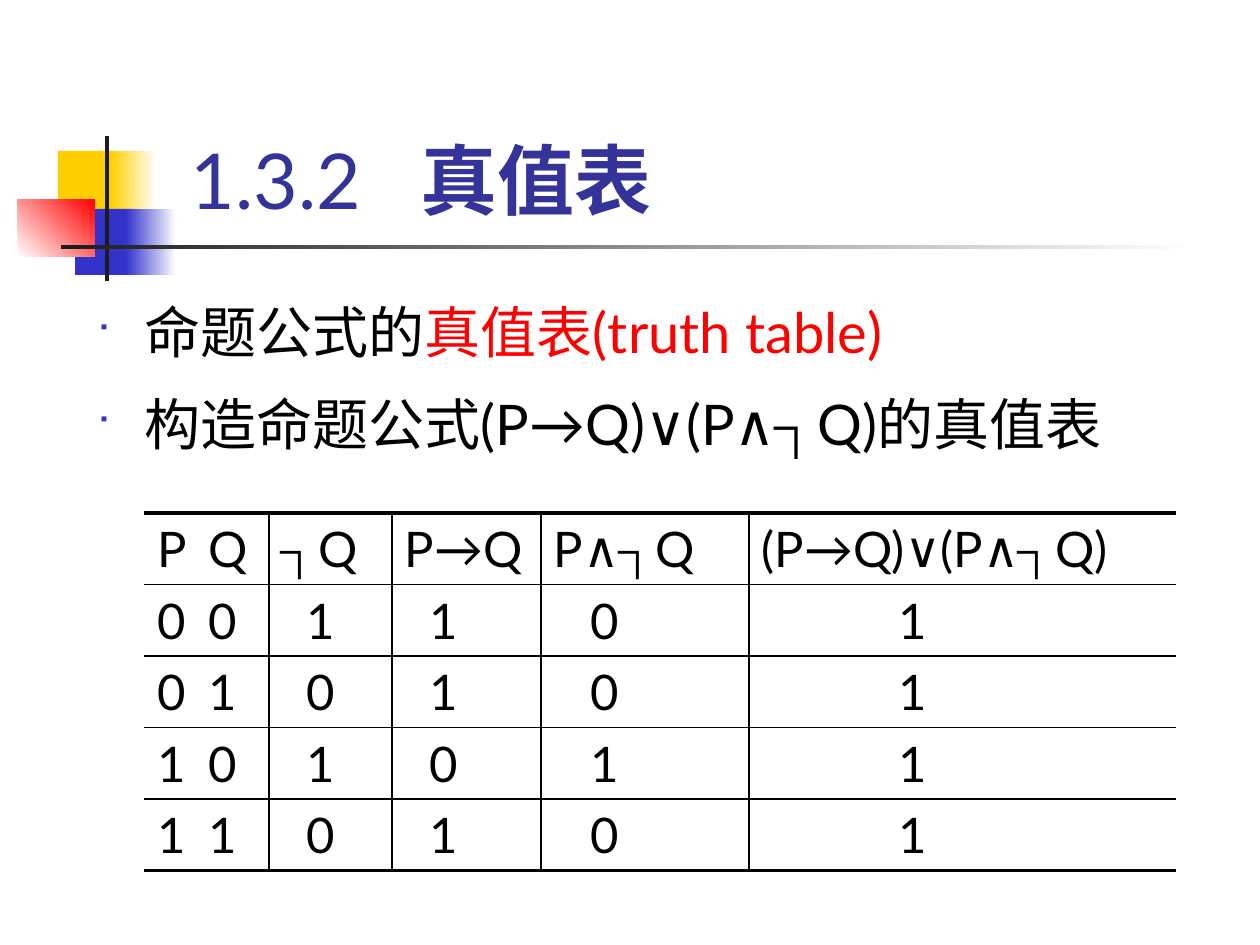
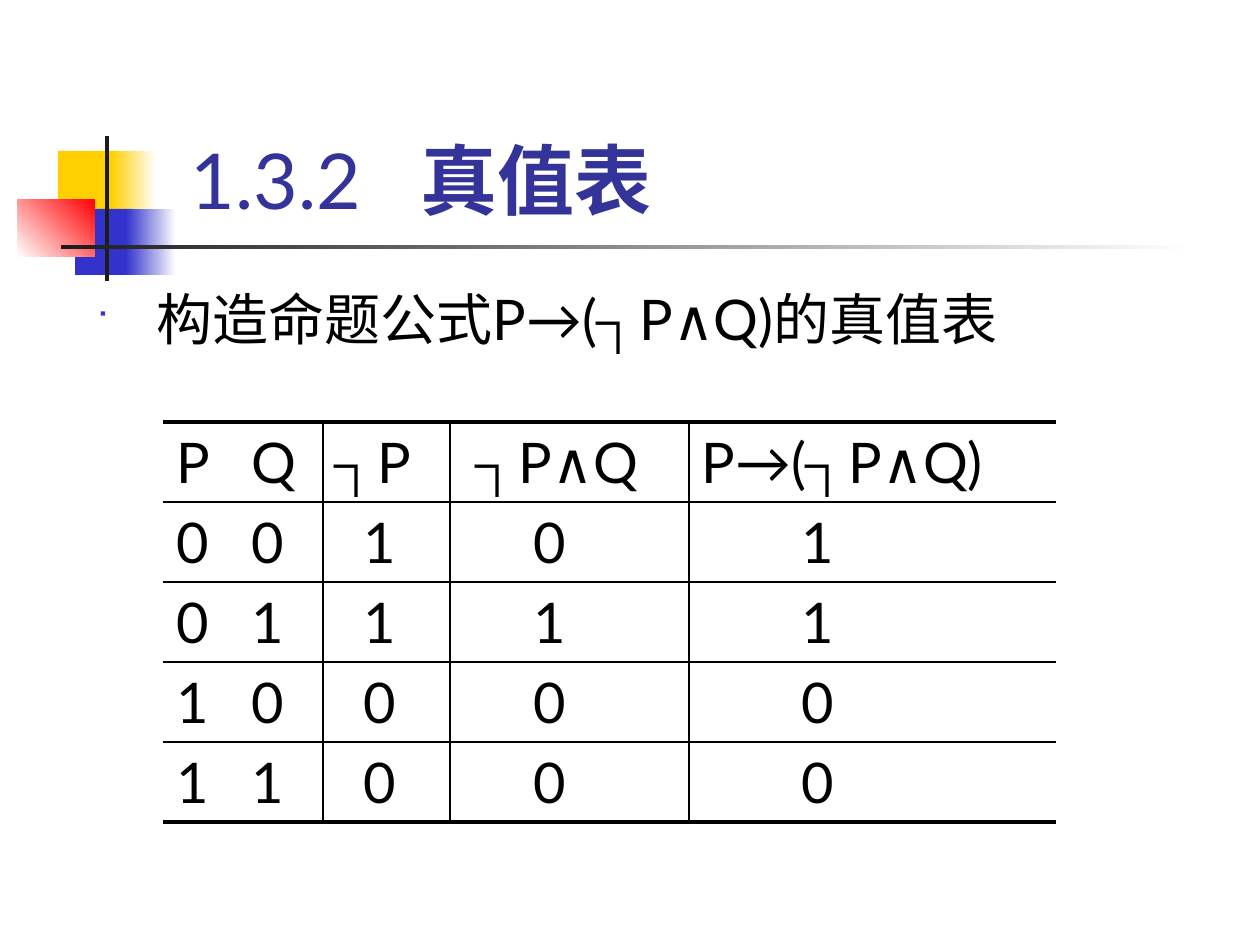
from pptx import Presentation
from pptx.dml.color import RGBColor
from pptx.enum.shapes import MSO_SHAPE
from pptx.enum.text import MSO_ANCHOR
from pptx.oxml.ns import qn
from pptx.util import Emu, Pt
from lxml.etree import SubElement

FONT = "Lato"
BLACK = RGBColor(0x00, 0x00, 0x00)
WHITE = RGBColor(0xFF, 0xFF, 0xFF)
RED = RGBColor(0xFF, 0x00, 0x00)
YELLOW = RGBColor(0xFF, 0xCF, 0x01)
BLUE = RGBColor(0x33, 0x33, 0xCC)
CHARCOAL = RGBColor(0x1C, 0x1C, 0x1C)
TITLE_BLUE = RGBColor(0x33, 0x33, 0x99)

THIN, THICK = 1, 2.25
CELL_MARGIN = 13
TITLE_BOX = (159, 29, 1073, 202)
EMBLEM_BOX = (18, 136, 1176, 145)
EMBLEM_PARTS = [
    ((40, 15, 60, 66), YELLOW, None, 0),
    ((93, 15, 45, 66), YELLOW, WHITE, 0),
    ((57, 73, 58, 66), BLUE, None, 0),
    ((108, 73, 50, 66), BLUE, WHITE, 0),
    ((0, 63, 77, 58), WHITE, RED, 45),
    ((87, 0, 4, 145), CHARCOAL, None, 0),
    ((43, 109, 1133, 4), CHARCOAL, WHITE, 0),
]


def px(length):
    """Turn a length in px into EMU."""
    return Emu(round(length * 914400 / 126))


def style_font(paragraph, size, color=None):
    """Give a paragraph its shared font."""
    paragraph.font.name = FONT
    paragraph.font.size = Pt(size)
    if color is not None:
        paragraph.font.color.rgb = color


def add_tab(paragraph, position):
    """Add one left tab stop to a paragraph."""
    tabs = SubElement(paragraph._p.get_or_add_pPr(), qn("a:tabLst"))
    SubElement(tabs, qn("a:tab"), pos=str(px(position)), algn="l")


def add_bullet(paragraph, hanging, percent):
    """Give a paragraph a blue square bullet and a hanging indent."""
    properties = paragraph._p.get_or_add_pPr()
    properties.set("marL", str(px(hanging)))
    properties.set("indent", str(-px(hanging)))
    color = SubElement(properties, qn("a:buClr"))
    SubElement(color, qn("a:srgbClr"), val=str(BLUE))
    SubElement(properties, qn("a:buSzPct"), val=str(percent * 1000))
    SubElement(properties, qn("a:buFont"), typeface="Wingdings")
    SubElement(properties, qn("a:buChar"), char="■")


def add_emblem(slide, box):
    """Draw the coloured squares and the crossing rules."""
    for (left, top, width, height), start, end, angle in EMBLEM_PARTS:
        shape = slide.shapes.add_shape(
            MSO_SHAPE.RECTANGLE, px(box[0] + left), px(box[1] + top), px(width), px(height))
        shape.shadow.inherit = False
        shape.line.fill.background()
        if end is None:
            shape.fill.solid()
            shape.fill.fore_color.rgb = start
            continue
        shape.fill.gradient()
        shape.fill.gradient_angle = angle
        for stop, color, position in zip(shape.fill.gradient_stops, (start, end), (0, 1)):
            stop.color.rgb = color
            stop.position = position


def add_text_frame(slide, box):
    """Add a wrapping text box and return its frame."""
    frame = slide.shapes.add_textbox(*map(px, box)).text_frame
    frame.word_wrap = True
    return frame


def add_title(slide, box):
    """Write the section number and the bold section name."""
    frame = add_text_frame(slide, box)
    frame.margin_left = px(32)
    frame.vertical_anchor = MSO_ANCHOR.BOTTOM
    paragraph = frame.paragraphs[0]
    add_tab(paragraph, 230)
    style_font(paragraph, 44, TITLE_BLUE)
    paragraph.add_run().text = "1.3.2\t"
    name = paragraph.add_run()
    name.text = "真值表"
    name.font.bold = True


def add_bullets(slide, box, items, hanging, percent, line_spacing):
    """Write bulleted lines, each a list of coloured runs."""
    frame = add_text_frame(slide, box)
    for index, runs in enumerate(items):
        paragraph = frame.add_paragraph() if index else frame.paragraphs[0]
        add_bullet(paragraph, hanging, percent)
        paragraph.line_spacing = line_spacing
        paragraph.space_before = Pt(6.4 if index else 0)
        style_font(paragraph, 32)
        for text, color in runs:
            run = paragraph.add_run()
            run.text = text
            run.font.color.rgb = color


def set_borders(cell, widths):
    """Set the left, right, top and bottom borders; zero means none."""
    properties = cell._tc.get_or_add_tcPr()
    for side, width in zip("LRTB", widths):
        line = SubElement(properties, qn(f"a:ln{side}"), w=str(Pt(width)))
        if width:
            fill = SubElement(line, qn("a:solidFill"))
            SubElement(fill, qn("a:srgbClr"), val=str(BLACK))
        else:
            SubElement(line, qn("a:noFill"))


def add_truth_table(slide, box, columns, rows, indents, header_indents, tab, size):
    """Add a truth table with heavy top and bottom rules and open sides."""
    table = slide.shapes.add_table(len(rows), len(columns), *map(px, box)).table
    table.first_row = table.horz_banding = False
    for column, width in zip(table.columns, columns):
        column.width = px(width)
    last_row, last_column = len(rows) - 1, len(columns) - 1
    for r, texts in enumerate(rows):
        for c, text in enumerate(texts):
            cell = table.cell(r, c)
            set_borders(cell, (THIN if c else 0, THIN if c < last_column else 0,
                               THIN if r else THICK, THIN if r < last_row else THICK))
            cell.fill.background()
            cell.margin_left = px(CELL_MARGIN + (indents if r else header_indents)[c])
            paragraph = cell.text_frame.paragraphs[0]
            if c == 0:
                add_tab(paragraph, tab)
            style_font(paragraph, size, BLACK)
            paragraph.add_run().text = text


def add_base_slide(presentation):
    """Add a slide with the shared emblem and title."""
    slide = presentation.slides.add_slide(presentation.slide_layouts[6])
    add_emblem(slide, EMBLEM_BOX)
    add_title(slide, TITLE_BOX)
    return slide


def build_disjunction_slide(presentation):
    """Build the slide that defines truth tables and tabulates a disjunction."""
    slide = add_base_slide(presentation)
    add_bullets(slide, (84, 278, 1176, 641), [
        [("命题公式的", BLACK), ("真值表(truth table)", RED)],
        [("构造命题公式(P→Q)∨(P∧┐Q)的真值表", BLACK)],
    ], hanging=48, percent=60, line_spacing=1.2)
    rows = [
        ("P\tQ", "┐Q", "P→Q", "P∧┐Q", "(P→Q)∨(P∧┐Q)"),
        ("0\t0", "1", "1", "0", "1"),
        ("0\t1", "0", "1", "0", "1"),
        ("1\t0", "1", "0", "1", "1"),
        ("1\t1", "0", "1", "0", "1"),
    ]
    add_truth_table(slide, (144, 513, 1032, 357), (125, 123, 149, 208, 427), rows,
                    indents=(0, 25, 25, 37, 137), header_indents=(0,) * 5, tab=52, size=28)


def build_implication_slide(presentation):
    """Build the slide that tabulates an implication."""
    slide = add_base_slide(presentation)
    add_bullets(slide, (84, 278, 1032, 631), [
        [("构造命题公式P→(┐P∧Q)的真值表", BLACK)],
    ], hanging=60, percent=52, line_spacing=1.0)
    rows = [
        ("P\tQ", "┐P", "┐P∧Q", "P→(┐P∧Q)"),
        ("0\t0", "1", "0", "1"),
        ("0\t1", "1", "1", "1"),
        ("1\t0", "0", "0", "0"),
        ("1\t1", "0", "0", "0"),
    ]
    add_truth_table(slide, (163, 422, 893, 400), (160, 127, 239, 367), rows,
                    indents=(0, 28, 71, 100), header_indents=(0, 0, 14, 0), tab=75, size=32)


def main():
    """Build and save the presentation."""
    presentation = Presentation()
    presentation.slide_width, presentation.slide_height = px(1260), px(945)
    build_disjunction_slide(presentation)
    build_implication_slide(presentation)
    presentation.save("out.pptx")


if __name__ == "__main__":
    main()
